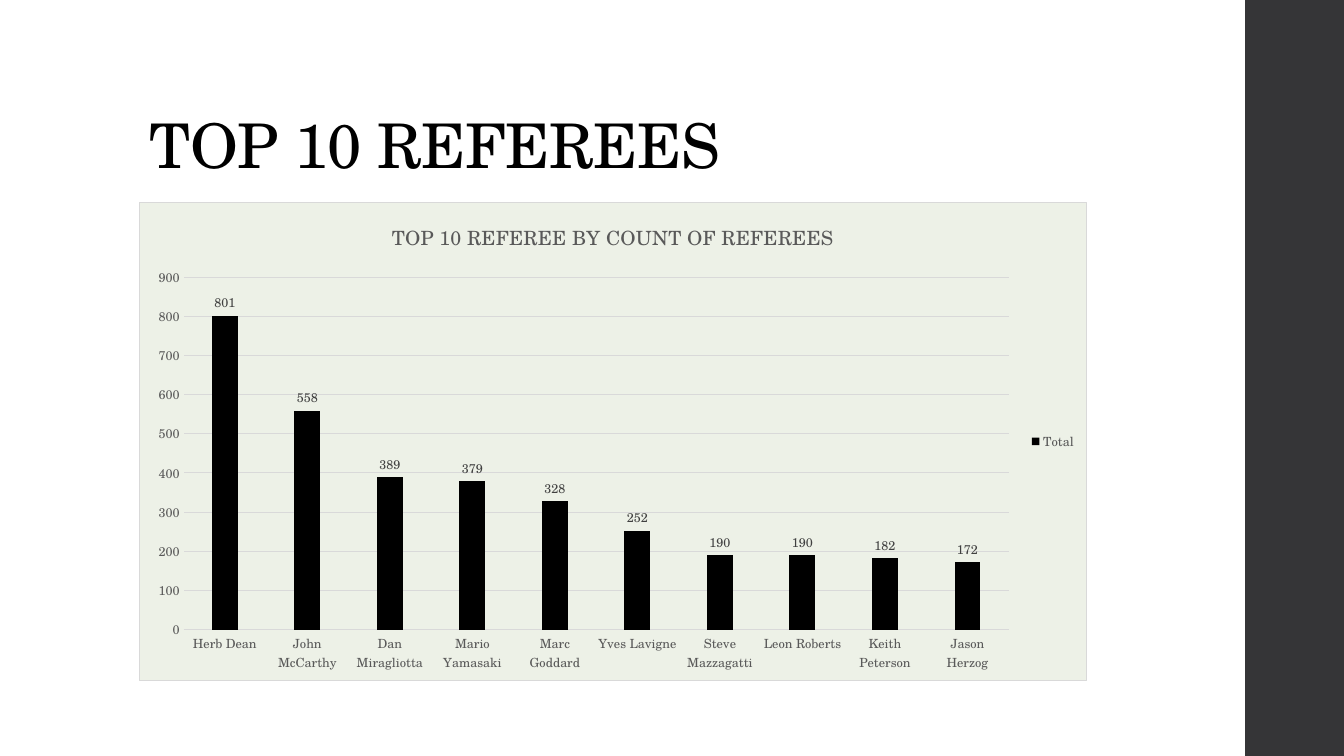
from lxml.etree import fromstring
from pptx import Presentation
from pptx.chart.data import CategoryChartData
from pptx.dml.color import RGBColor
from pptx.enum.chart import XL_CHART_TYPE, XL_LABEL_POSITION, XL_LEGEND_POSITION, XL_TICK_MARK
from pptx.enum.shapes import MSO_SHAPE
from pptx.enum.text import MSO_ANCHOR, MSO_AUTO_SIZE, PP_ALIGN
from pptx.util import Emu, Pt

FACE = "TeX Gyre Schola"
GRAY = "595959"
RULE = "D9D9D9"
COUNTS = {
    "Herb Dean": 801,
    "John McCarthy": 558,
    "Dan Miragliotta": 389,
    "Mario Yamasaki": 379,
    "Marc Goddard": 328,
    "Yves Lavigne": 252,
    "Steve Mazzagatti": 190,
    "Leon Roberts": 190,
    "Keith Peterson": 182,
    "Jason Herzog": 172,
}
PANEL = (
    '<c:spPr xmlns:c="http://schemas.openxmlformats.org/drawingml/2006/chart"'
    ' xmlns:a="http://schemas.openxmlformats.org/drawingml/2006/main">'
    '<a:solidFill><a:srgbClr val="{fill}"/></a:solidFill>'
    '<a:ln w="9525"><a:solidFill><a:srgbClr val="{line}"/></a:solidFill></a:ln>'
    '</c:spPr>'
)


def px(count):
    return Emu(count * 9144)


def color(code):
    return RGBColor.from_string(code)


def style(font, size, code):
    font.name = FACE
    font.size = Pt(size)
    font.bold = False
    font.color.rgb = color(code)


def rule(line):
    line.color.rgb = color(RULE)
    line.width = Pt(0.75)


def add_band(slide, left, top, width, height, code):
    band = slide.shapes.add_shape(MSO_SHAPE.RECTANGLE, px(left), px(top), px(width), px(height))
    band.shadow.inherit = False
    band.fill.solid()
    band.fill.fore_color.rgb = color(code)
    band.line.fill.background()


def set_title(slide, text, left, top, width, height):
    title = slide.shapes.title
    title.left, title.top = px(left), px(top)
    title.width, title.height = px(width), px(height)
    frame = title.text_frame
    frame.word_wrap = True
    frame.auto_size = MSO_AUTO_SIZE.NONE
    frame.vertical_anchor = MSO_ANCHOR.BOTTOM
    para = frame.paragraphs[0]
    para.alignment = PP_ALIGN.LEFT
    para.line_spacing = 0.9
    run = para.add_run()
    run.text = text
    style(run.font, 44, "000000")
    run.font._element.set("spc", "-50")


def style_axes(chart):
    for axis in (chart.category_axis, chart.value_axis):
        axis.major_tick_mark = XL_TICK_MARK.NONE
        axis.minor_tick_mark = XL_TICK_MARK.NONE
        style(axis.tick_labels.font, 9, GRAY)
    rule(chart.category_axis.format.line)
    scale = chart.value_axis
    scale.minimum_scale, scale.maximum_scale, scale.major_unit = 0, 900, 100
    scale.format.line.fill.background()
    rule(scale.major_gridlines.format.line)


def style_bars(plot):
    plot.gap_width = 219
    plot.overlap = -27
    plot.vary_by_categories = False
    bars = plot.series[0]
    bars.format.fill.solid()
    bars.format.fill.fore_color.rgb = color("000000")
    labels = bars.data_labels
    labels.show_value = True
    labels.position = XL_LABEL_POSITION.OUTSIDE_END
    style(labels.font, 9, "404040")


def add_chart(slide, title, left, top, width, height):
    data = CategoryChartData()
    data.categories = list(COUNTS)
    data.add_series("Total", list(COUNTS.values()))
    chart = slide.shapes.add_chart(
        XL_CHART_TYPE.COLUMN_CLUSTERED, px(left), px(top), px(width), px(height), data
    ).chart
    style(chart.font, 10, "000000")
    chart.has_title = True
    run = chart.chart_title.text_frame.paragraphs[0].add_run()
    run.text = title
    style(run.font, 14, GRAY)
    chart.chart_title.include_in_layout = False
    chart.has_legend = True
    chart.legend.position = XL_LEGEND_POSITION.RIGHT
    chart.legend.include_in_layout = False
    style(chart.legend.font, 9, GRAY)
    style_axes(chart)
    style_bars(chart.plots[0])
    panel = fromstring(PANEL.format(fill="EDF1E7", line=RULE))
    chart._chartSpace.chart.addnext(panel)


def main():
    deck = Presentation()
    deck.slide_width, deck.slide_height = px(1333), px(750)
    slide = deck.slides.add_slide(deck.slide_layouts[5])
    add_band(slide, 1235, 0, 98, 750, "353537")
    set_title(slide, "TOP 10 REFEREES", 138, 40, 1060, 145)
    add_chart(slide, "TOP 10 REFEREE BY COUNT OF REFEREES", 138, 200, 940, 476)
    deck.save("out.pptx")


if __name__ == "__main__":
    main()
